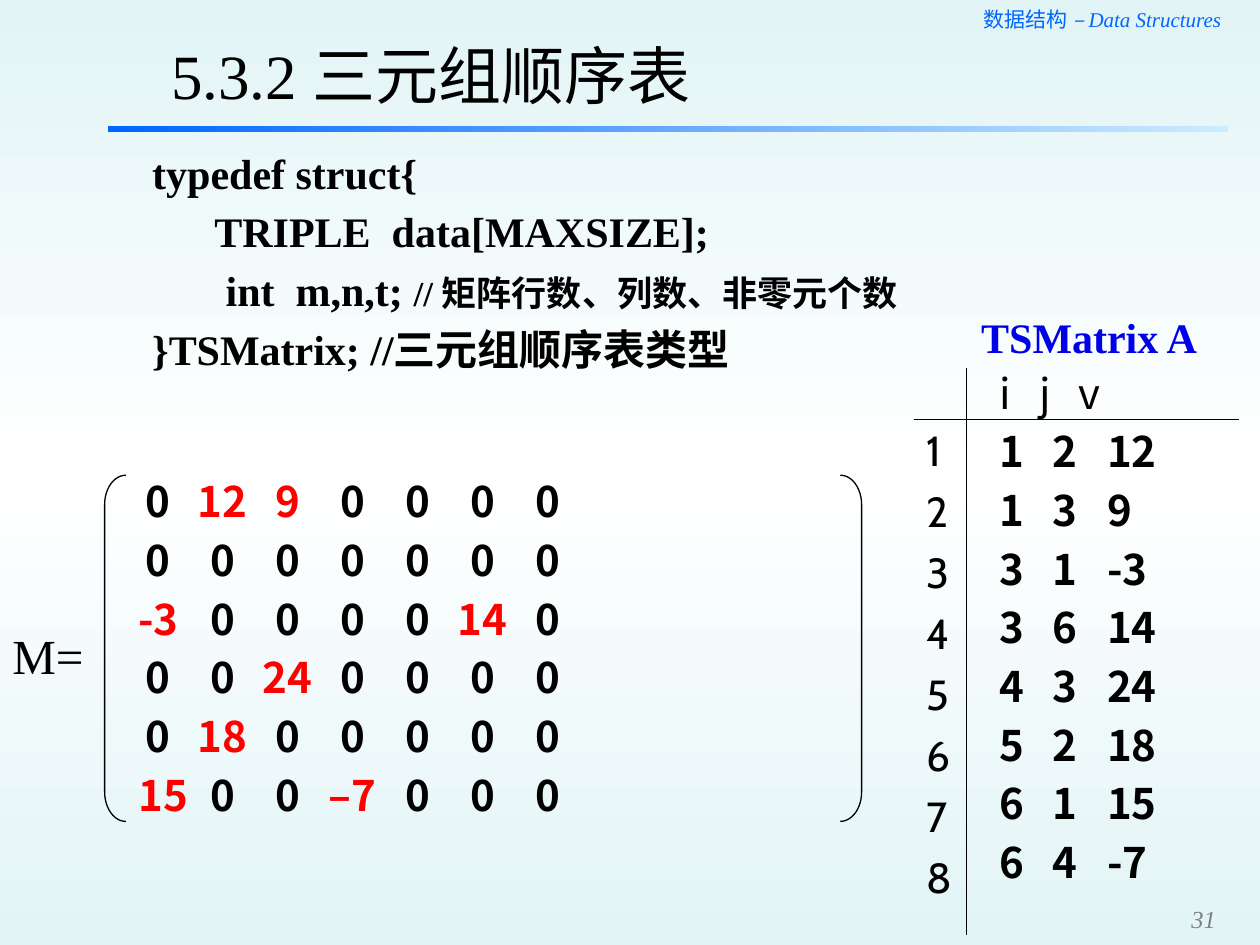
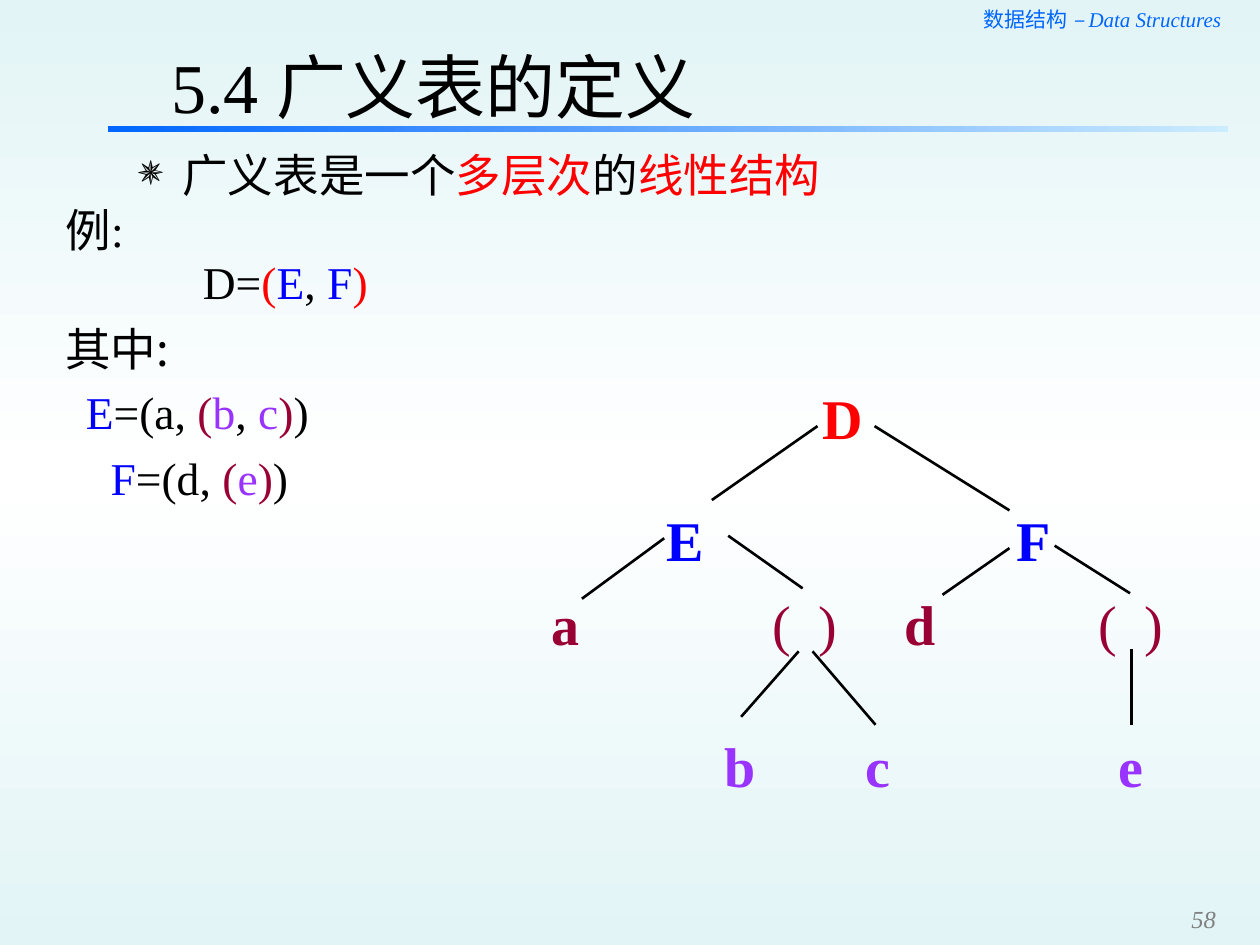
from lxml import etree
from pptx import Presentation
from pptx import util as u
from pptx.dml.color import RGBColor
from pptx.enum import shapes, text
from pptx.oxml.ns import qn

COLOURS = {
    "black": "000000", "red": "FF0000", "blue": "0000FF", "navy": "0000E8",
    "maroon": "990033", "violet": "9933FF", "grey": "808080",
    "accent": "0066FF", "pale": "CCECFF", "mist": "E2F4F6", "white": "FFFFFF",
}
SERIF, SANS, INDEX = "Times New Roman", "Noto Sans CJK SC", "Cabin"
ROW_PITCH = 33.5

CODE = [
    [("typedef struct{",)],
    [("      TRIPLE  data[MAXSIZE];",)],
    [("       int  m,n,t; ",), ("// 矩阵行数、列数、非零元个数", "black", 20)],
    [("}TSMatrix; //三元组顺序表类型",)],
]
MATRIX = [
    "0 12 9 0 0 0 0", "0 0 0 0 0 0 0", "-3 0 0 0 0 14 0",
    "0 0 24 0 0 0 0", "0 18 0 0 0 0 0", "15 0 0 –7 0 0 0",
]
TRIPLES = ["1 2 12", "1 3 9", "3 1 -3", "3 6 14",
           "4 3 24", "5 2 18", "6 1 15", "6 4 -7"]

# runs, line height (pt), left indent (cm), font
LIST_NOTES = [
    ([("广义表是一个",), ("多层次", "red"), ("的",), ("线性结构", "red")], 31.5, 2.36, SERIF),
    ([("例:",)], 31.5, 0, SERIF),
    ([("D=",), ("(", "red"), ("E", "blue"), (", ",), ("F", "blue"), (")", "red")],
     29.5, 2.77, SERIF),
    ([("其中:",)], 38.5, 0, SANS),
    ([("E", "blue"), ("=(a, ",), ("(", "maroon"), ("b", "violet"), (", ",),
      ("c", "violet"), (")", "maroon"), (")",)], 36, 0.41, SERIF),
    ([("F", "blue"), ("=(d,",), (" (", "maroon"), ("e", "violet"),
      (")", "maroon"), (")",)], 37.5, 0.91, SERIF),
]
TREE_NODES = [
    ("D", 16.33, 7.6, "red"), ("E", 13.18, 10.06, "blue"), ("F", 20.24, 10.06, "blue"),
    ("a", 10.87, 11.76, "maroon"), ("(  )", 15.32, 11.76, "maroon"),
    ("d", 17.98, 11.76, "maroon"), ("(  )", 21.89, 11.76, "maroon"),
    ("b", 14.35, 14.61, "violet"), ("c", 17.2, 14.61, "violet"), ("e", 22.3, 14.61, "violet"),
]
TREE_EDGES = [
    (16.48, 8.59, 14.35, 10.08), (17.63, 8.59, 20.35, 10.29),
    (13.39, 10.85, 11.73, 12.07), (14.68, 10.8, 16.18, 11.86),
    (16.1, 13.13, 14.94, 14.45), (16.38, 13.13, 17.65, 14.61),
    (20.35, 11.05, 19, 11.99), (21.26, 11, 22.78, 11.96),
    (22.81, 13.08, 22.81, 14.61),
]


def rgb(name):
    """Return the named colour."""
    return RGBColor.from_string(COLOURS[name])


def gradient(fill, owner, names, angle):
    """Fill with evenly spaced gradient stops."""
    fill.gradient()
    fill.gradient_angle = angle
    stops = owner.find(".//" + qn("a:gsLst"))
    for gs in list(stops):
        stops.remove(gs)
    for i, name in enumerate(names):
        gs = etree.SubElement(stops, qn("a:gs"), pos=str(100000 * i // (len(names) - 1)))
        etree.SubElement(gs, qn("a:srgbClr"), val=COLOURS[name])


def add_box(s, x, y, w, h, inset=(0.25, 0.13), anchor=text.MSO_ANCHOR.TOP):
    """Add an empty wrapping text box and return its frame."""
    tf = s.shapes.add_textbox(u.Cm(x), u.Cm(y), u.Cm(w), u.Cm(h)).text_frame
    tf.word_wrap = True
    tf.vertical_anchor = anchor
    tf.margin_left = tf.margin_right = u.Cm(inset[0])
    tf.margin_top = tf.margin_bottom = u.Cm(inset[1])
    return tf


def add_para(tf, runs, size, font=SERIF, bold=False, italic=False,
             line=None, align=None, tabs=(), tab_align="l"):
    """Write runs of (text, colour, size, italic) into the next paragraph."""
    p = tf.paragraphs[0] if not tf.paragraphs[0].runs else tf.add_paragraph()
    if tabs:
        tab_list = etree.SubElement(p._p.get_or_add_pPr(), qn("a:tabLst"))
        for pos in tabs:
            etree.SubElement(tab_list, qn("a:tab"), pos=str(int(u.Cm(pos))), algn=tab_align)
    if line:
        p.line_spacing = u.Pt(line)
    if align:
        p.alignment = align
    for content, *style in runs:
        colour, run_size, run_italic = style + ["black", size, italic][len(style):]
        r = p.add_run()
        r.text = content
        r.font.size = u.Pt(run_size)
        r.font.bold, r.font.italic = bold, run_italic
        r.font.color.rgb = rgb(colour)
        r.font.name = font
        etree.SubElement(r._r.get_or_add_rPr(), qn("a:ea"), typeface=SANS)
    return p


def add_bullet(p, char, hang):
    """Give a paragraph a hanging bullet."""
    pPr = p._p.get_or_add_pPr()
    pPr.set("indent", str(-int(u.Cm(hang))))
    etree.SubElement(pPr, qn("a:buSzPct"), val="95000")
    etree.SubElement(pPr, qn("a:buChar"), char=char)


def set_indent(p, left):
    """Set the left margin of a paragraph."""
    pPr = p._p.get_or_add_pPr()
    pPr.set("marL", str(int(u.Cm(left))))
    pPr.set("indent", "0")


def add_line(s, x1, y1, x2, y2, width):
    """Add a plain black line."""
    ln = s.shapes.add_connector(shapes.MSO_CONNECTOR.STRAIGHT,
                                u.Cm(x1), u.Cm(y1), u.Cm(x2), u.Cm(y2))
    ln.line.color.rgb = rgb("black")
    ln.line.width = u.Pt(width)
    etree.SubElement(ln._element.spPr, qn("a:effectLst"))


def add_bracket(s, kind, x):
    """Add one of the brackets around the matrix."""
    sp = s.shapes.add_shape(kind, u.Cm(x), u.Cm(9.58), u.Cm(0.43), u.Cm(6.98))
    sp.adjustments[0] = 1.375
    sp.shadow.inherit = False
    sp.fill.background()
    sp.line.color.rgb = rgb("black")
    sp.line.width = u.Pt(0.75)


def add_slide(prs, title, size, bottom, number):
    """Add a slide with course header, title, rule and page number."""
    s = prs.slides.add_slide(prs.slide_layouts[6])
    right = text.PP_ALIGN.RIGHT
    add_para(add_box(s, 15.14, 0, 9.73, 0.76),
             [("数据结构", "accent"), (" – Data Structures", "accent", 12, True)],
             12, align=right)
    bar = s.shapes.add_shape(shapes.MSO_SHAPE.RECTANGLE,
                             u.Cm(2.18), u.Cm(2.54), u.Cm(22.58), u.Cm(0.13))
    bar.shadow.inherit = False
    bar.line.fill.background()
    gradient(bar.fill, bar._element, ["accent", "pale"], 0)
    add_para(add_box(s, 3.2, bottom - 1.8, 20.9, 1.8, (0.25, 0.1),
                     text.MSO_ANCHOR.BOTTOM), [(title,)], size)
    add_para(add_box(s, 23.06, 17.98, 1.7, 0.84, (0.25, 0), text.MSO_ANCHOR.BOTTOM),
             [(number, "grey")], 14, italic=True, align=right)
    return s


def add_matrix(s):
    """Draw the sparse matrix M with its non-zero entries in red."""
    add_bracket(s, shapes.MSO_SHAPE.LEFT_BRACKET, 2.11)
    add_bracket(s, shapes.MSO_SHAPE.RIGHT_BRACKET, 16.94)
    add_para(add_box(s, 0, 12.47, 2.3, 1.45), [("M=",)], 28)
    tf = add_box(s, 2.54, 9.3, 14.6, 7.37)
    centres = [0.39 + 1.31 * i for i in range(7)]
    for row in MATRIX:
        runs = [("\t" + v, "black" if v == "0" else "red") for v in row.split()]
        add_para(tf, runs, 24, SANS, bold=True, line=ROW_PITCH,
                 tabs=centres, tab_align="ctr")


def add_triples(s):
    """Draw the triple table with its row numbers."""
    add_para(add_box(s, 19.53, 6.15, 5.77, 1.27), [("TSMatrix A", "navy")], 24, bold=True)
    add_line(s, 19.48, 7.42, 19.48, 18.85, 0.75)
    add_line(s, 18.42, 8.46, 24.97, 8.46, 0.75)
    tf = add_box(s, 19.89, 7.11, 5.28, 11)
    add_para(tf, [("i\tj\tv",)], 24, SANS, line=ROW_PITCH, tabs=(0.81, 1.6))
    for i, triple in enumerate(TRIPLES):
        add_para(tf, [("\t".join(triple.split()),)], 24, SANS, bold=True,
                 line=ROW_PITCH, tabs=(1.08, 2.18))
        add_para(add_box(s, 18.62, 8.55 + 1.23 * i, 0.64, 1.02, (0.05, 0)),
                 [(str(i + 1),)], 24, INDEX)


def add_list_notes(s):
    """Write the definition and example of a generalised list."""
    tf = add_box(s, 1.07, 2.82, 23.5, 10)
    for i, (runs, line, left, font) in enumerate(LIST_NOTES):
        p = add_para(tf, runs, 26, font, line=line)
        set_indent(p, left)
        if i == 0:
            add_bullet(p, "✵", 0.89)


def add_tree(s):
    """Draw the list D as a tree."""
    for label, x, y, colour in TREE_NODES:
        add_para(add_box(s, x, y, 2.2, 1.6), [(label, colour)], 32, bold=len(label) == 1)
    for edge in TREE_EDGES:
        add_line(s, *edge, 1.5)


def main():
    """Build the two slides."""
    prs = Presentation()
    prs.slide_width, prs.slide_height = u.Cm(25.4), u.Cm(19.05)
    master = prs.slide_master
    gradient(master.background.fill, master.element, ["mist", "white", "mist"], 90)

    s = add_slide(prs, "5.3.2 三元组顺序表", 36, 2.36, "31")
    tf = add_box(s, 2.82, 2.67, 17.27, 4.98)
    for runs in CODE:
        add_para(tf, runs, 24, bold=True, line=ROW_PITCH)
    add_matrix(s)
    add_triples(s)

    s = add_slide(prs, "5.4 广义表的定义", 40, 2.67, "58")
    add_list_notes(s)
    add_tree(s)
    prs.save("out.pptx")


if __name__ == "__main__":
    main()
